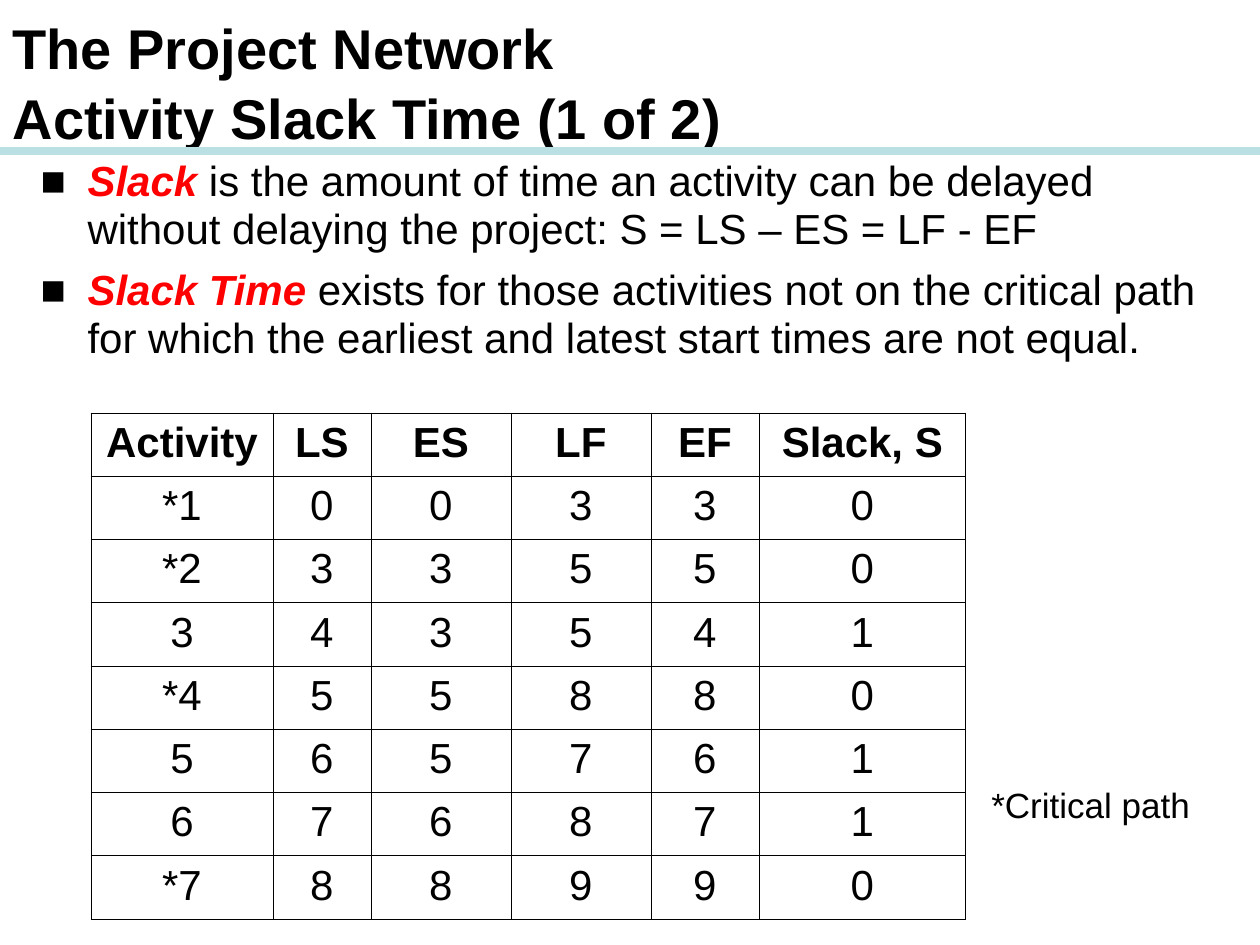
from dataclasses import dataclass

from lxml import etree
from pptx import Presentation
from pptx import util as u
from pptx.dml.color import RGBColor
from pptx.enum import shapes, text
from pptx.oxml.ns import qn


@dataclass(frozen=True)
class Theme:
    font: str = "Arial"
    ink: str = "000000"
    term: str = "FF0000"
    rule: str = "BBE0E3"
    title_size: int = 32
    body_size: int = 24
    note_size: int = 20
    rule_width: int = 5
    border_width: float = 0.45


theme = Theme()


def px(length):
    return u.Emu(round(length * 914400 / 126))


def add_run(paragraph, words, size, color=theme.ink, bold=False, italic=False):
    run = paragraph.add_run()
    run.text = words
    run.font.name = theme.font
    run.font.size = u.Pt(size)
    run.font.color.rgb = RGBColor.from_string(color)
    run.font.bold = bold
    run.font.italic = italic


prs = Presentation()
prs.slide_width, prs.slide_height = px(1260), px(945)
slide = prs.slides.add_slide(prs.slide_layouts[1])

# Title
title = slide.shapes.title
title.left, title.top, title.width, title.height = px(0), px(0), px(1202), px(139)
heading = title.text_frame
heading.auto_size = text.MSO_AUTO_SIZE.NONE
heading.vertical_anchor = text.MSO_ANCHOR.TOP
heading.margin_top = px(11)
for i, line in enumerate(["The Project Network", "Activity Slack Time (1 of 2)"]):
    paragraph = heading.add_paragraph() if i else heading.paragraphs[0]
    paragraph.alignment = text.PP_ALIGN.LEFT
    paragraph.line_spacing = 1.04
    add_run(paragraph, line, theme.title_size, bold=True)

# Definitions
definitions = [
    ("Slack ", "is the amount of time an activity can be delayed without "
               "delaying the project: S = LS – ES = LF - EF"),
    ("Slack Time ", "exists for those activities not on the critical path for "
                    "which the earliest and latest start times are not equal."),
]
body = slide.placeholders[1]
body.left, body.top, body.width, body.height = px(28), px(152), px(1186), px(611)
body.text_frame.auto_size = text.MSO_AUTO_SIZE.NONE
for i, (term, meaning) in enumerate(definitions):
    paragraph = body.text_frame.add_paragraph() if i else body.text_frame.paragraphs[0]
    paragraph.line_spacing = 0.95
    paragraph.space_before = u.Pt(7.5 if i else 0)
    props = paragraph._p.get_or_add_pPr()
    props.set("marL", str(px(47)))
    props.set("indent", str(-px(47)))
    bullet_color = etree.SubElement(props, qn("a:buClr"))
    etree.SubElement(bullet_color, qn("a:srgbClr"), val=theme.ink)
    etree.SubElement(props, qn("a:buFont"), typeface=theme.font)
    etree.SubElement(props, qn("a:buChar"), char="■")
    add_run(paragraph, term, theme.body_size, theme.term, bold=True, italic=True)
    add_run(paragraph, meaning, theme.body_size)

# Rule under the title
rule = slide.shapes.add_connector(shapes.MSO_CONNECTOR.STRAIGHT,
                                  px(0), px(151), px(1260), px(151))
rule.line.color.rgb = RGBColor.from_string(theme.rule)
rule.line.width = u.Pt(theme.rule_width)
etree.SubElement(rule._element.spPr, qn("a:effectLst"))

# Footnote
footnote = slide.shapes.add_textbox(px(979), px(777), px(224), px(55))
footnote.text_frame.word_wrap = False
add_run(footnote.text_frame.paragraphs[0], "*Critical path", theme.note_size)

# Slack table
slack_rows = [
    ("Activity", "LS", "ES", "LF", "EF", "Slack, S"),
    ("*1", 0, 0, 3, 3, 0),
    ("*2", 3, 3, 5, 5, 0),
    ("3", 4, 3, 5, 4, 1),
    ("*4", 5, 5, 8, 8, 0),
    ("5", 6, 5, 7, 6, 1),
    ("6", 7, 6, 8, 7, 1),
    ("*7", 8, 8, 9, 9, 0),
]
column_widths = [182, 98, 140, 140, 108, 207]
slack_table = slide.shapes.add_table(len(slack_rows), len(column_widths), px(91), px(413),
                                     px(sum(column_widths)), px(506)).table
slack_table.first_row = slack_table.horz_banding = False
for column, width in zip(slack_table.columns, column_widths):
    column.width = px(width)
for r, values in enumerate(slack_rows):
    for c, value in enumerate(values):
        cell = slack_table.cell(r, c)
        paragraph = cell.text_frame.paragraphs[0]
        paragraph.alignment = text.PP_ALIGN.CENTER
        add_run(paragraph, str(value), theme.body_size, bold=r == 0)
        cell_props = cell._tc.get_or_add_tcPr()
        for side in ("a:lnL", "a:lnR", "a:lnT", "a:lnB"):
            border = etree.SubElement(cell_props, qn(side), w=str(u.Pt(theme.border_width)))
            border_fill = etree.SubElement(border, qn("a:solidFill"))
            etree.SubElement(border_fill, qn("a:srgbClr"), val=theme.ink)
        cell.fill.background()

prs.save("out.pptx")
